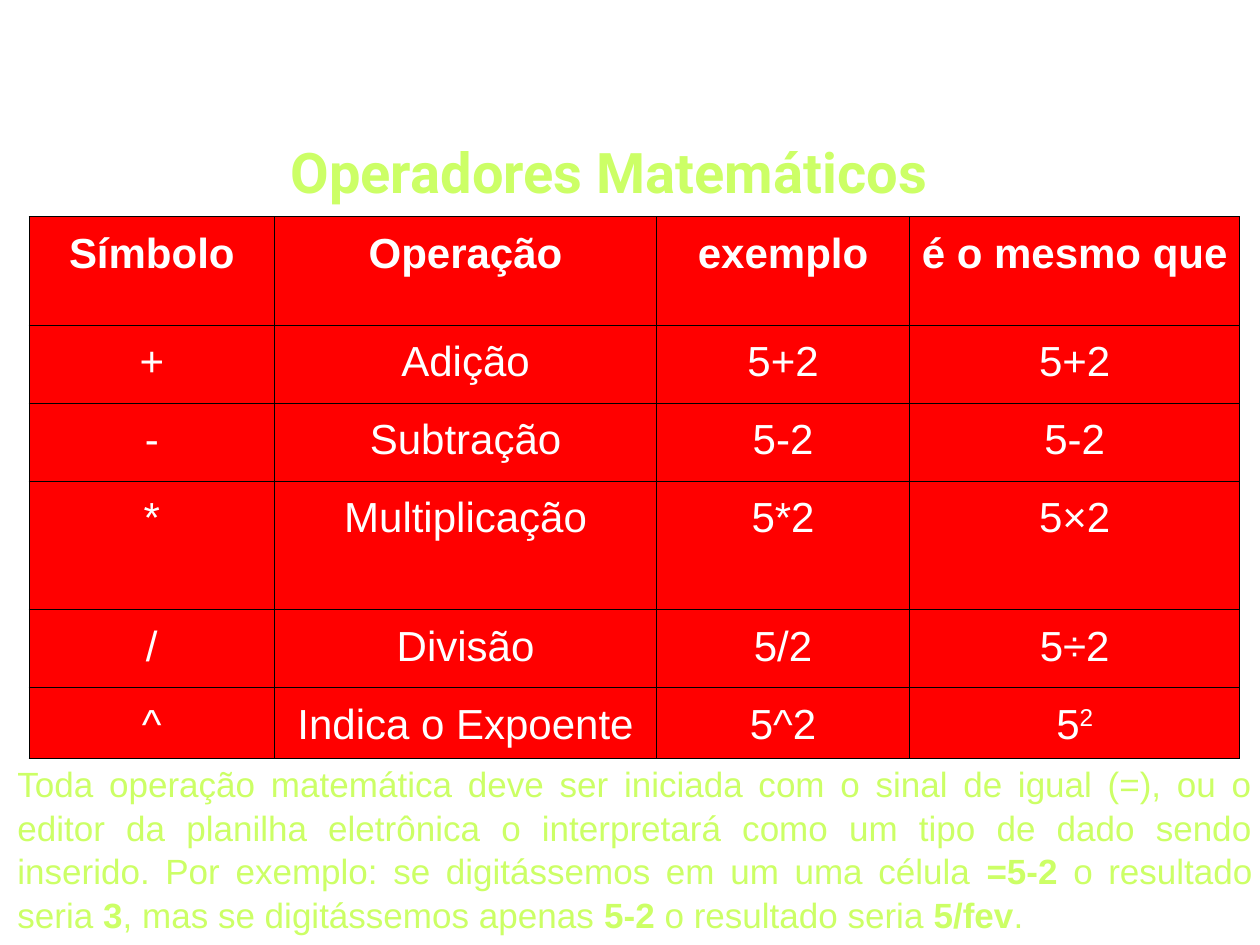
from lxml import etree
from pptx import Presentation
from pptx import util as u
from pptx.dml.color import RGBColor
from pptx.enum import text
from pptx.oxml import ns

LIME = RGBColor(0xCC, 0xFF, 0x66)
RED = RGBColor(0xFF, 0x00, 0x00)
WHITE = RGBColor(0xFF, 0xFF, 0xFF)
BORDER = "000000"

COLUMN_WIDTHS = [1.95, 3.03, 2.01, 2.62]
ROW_HEIGHTS = [0.86, 0.62, 0.62, 1.02, 0.62, 0.56]
OPERATORS = [
    ["Símbolo", "Operação", "exemplo", "é o mesmo que"],
    ["+", "Adição", "5+2", "5+2"],
    ["-", "Subtração", "5-2", "5-2"],
    ["*", "Multiplicação", "5*2", "5×2"],
    ["/", "Divisão", "5/2", "5÷2"],
    ["^", "Indica o Expoente", "5^2", ["5", ("2", {"superscript": True})]],
]
BOLD = {"bold": True}
NOTE = [
    "Toda operação matemática deve ser iniciada com o sinal de igual (=), "
    "ou o editor da planilha eletrônica o interpretará como um tipo de dado "
    "sendo inserido. Por exemplo: se digitássemos em um uma célula ",
    ("=5-2", BOLD), " o resultado seria ", ("3", BOLD),
    ", mas se digitássemos apenas ", ("5-2", BOLD),
    " o resultado seria ", ("5/fev", BOLD), ".",
]


def add_span(para, words, font="Arial", size=20, color=WHITE, bold=False,
             superscript=False):
    span = para.add_run()
    span.text = words
    span.font.name = font
    span.font.size = u.Pt(size)
    span.font.color.rgb = color
    span.font.bold = bold
    if superscript:
        span._r.get_or_add_rPr().set("baseline", "30000")


def write(frame, content, align, spacing=1.0, **style):
    """Fill the first paragraph with a string or a list of strings and (string, format) pairs."""
    para = frame.paragraphs[0]
    para.alignment = align
    para.line_spacing = spacing
    for part in [content] if isinstance(content, str) else content:
        words, changes = (part, {}) if isinstance(part, str) else part
        add_span(para, words, **{**style, **changes})


def outline(cell, width=0.45):
    """Draw the four borders of a cell; they must come before its fill."""
    properties = cell._tc.get_or_add_tcPr()
    for side in ("lnL", "lnR", "lnT", "lnB"):
        line = etree.SubElement(properties, ns.qn(f"a:{side}"), w=str(u.Pt(width)))
        fill = etree.SubElement(line, ns.qn("a:solidFill"))
        etree.SubElement(fill, ns.qn("a:srgbClr"), val=BORDER)


class SlideBuilder:
    def __init__(self, page):
        self.page = page

    def text_box(self, left, top, width, height, content, align,
                 margins=(0, 0), **style):
        box = self.page.shapes.add_textbox(
            u.Inches(left), u.Inches(top), u.Inches(width), u.Inches(height))
        frame = box.text_frame
        frame.word_wrap = True
        frame.margin_left = frame.margin_right = u.Inches(margins[0])
        frame.margin_top = frame.margin_bottom = u.Inches(margins[1])
        write(frame, content, align, **style)

    def table(self, left, top, widths, heights, rows):
        table = self.page.shapes.add_table(
            len(heights), len(widths), u.Inches(left), u.Inches(top),
            u.Inches(sum(widths)), u.Inches(sum(heights))).table
        for column, width in zip(table.columns, widths):
            column.width = u.Inches(width)
        for row, height in zip(table.rows, heights):
            row.height = u.Inches(height)
        for r, contents in enumerate(rows):
            for c, content in enumerate(contents):
                self.cell(table.cell(r, c), content, bold=r == 0)

    def cell(self, cell, content, bold):
        cell.margin_left = cell.margin_right = u.Inches(0.08)
        cell.margin_top = cell.margin_bottom = u.Inches(0.05)
        outline(cell)
        cell.fill.solid()
        cell.fill.fore_color.rgb = RED
        write(cell.text_frame, content, text.PP_ALIGN.CENTER, spacing=1.15,
              size=24, bold=bold)


def main():
    deck = Presentation()
    deck.slide_width = u.Inches(10)
    deck.slide_height = u.Inches(7.5)
    builder = SlideBuilder(deck.slides.add_slide(deck.slide_layouts[6]))

    builder.text_box(0.92, 1.09, 7.83, 0.54, "Operadores Matemáticos",
                     text.PP_ALIGN.CENTER, font="Roboto", size=32, color=LIME,
                     bold=True)
    builder.table(0.23, 1.72, COLUMN_WIDTHS, ROW_HEIGHTS, OPERATORS)
    builder.text_box(0.04, 5.99, 10, 1.77, NOTE, text.PP_ALIGN.JUSTIFY,
                     margins=(0.1, 0.05), spacing=1.04, color=LIME)

    deck.save("out.pptx")


if __name__ == "__main__":
    main()
